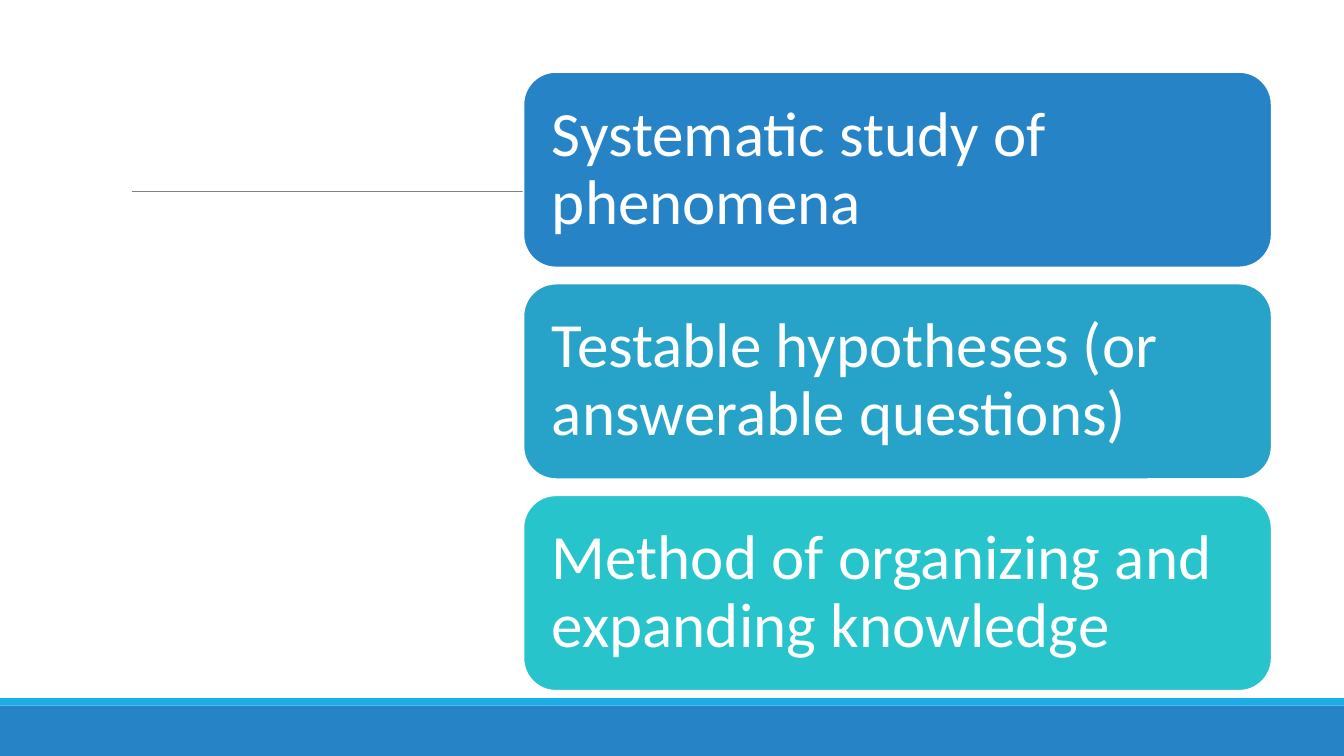
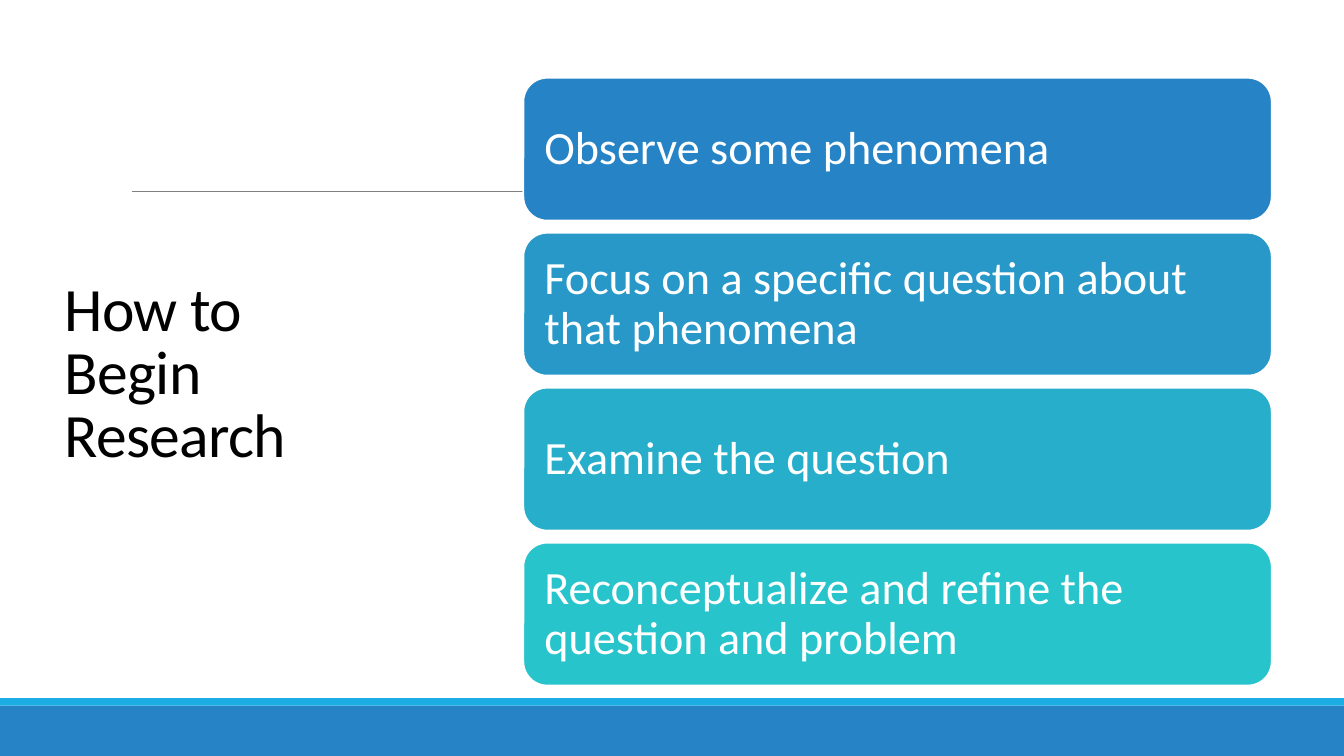
from pptx import Presentation
from pptx.dml.color import RGBColor
from pptx.enum.shapes import MSO_CONNECTOR as Link, MSO_SHAPE as Shape
from pptx.enum.text import MSO_ANCHOR as Anchor, MSO_AUTO_SIZE as Fit, PP_ALIGN as Align
from pptx.oxml.ns import qn
from pptx.util import Pt
from lxml import etree

BLUE = RGBColor(0x26, 0x83, 0xC6)
OCEAN = RGBColor(0x27, 0x98, 0xC8)
AZURE = RGBColor(0x27, 0xA3, 0xC9)
LAGOON = RGBColor(0x27, 0xAE, 0xCA)
TEAL = RGBColor(0x28, 0xC4, 0xCC)
SKY = RGBColor(0x1C, 0xAD, 0xE4)
GRAY = RGBColor(0x80, 0x80, 0x80)
WHITE = RGBColor(0xFF, 0xFF, 0xFF)
BLACK = RGBColor(0, 0, 0)
WIDE, HIGH = 960, 540

# Shared bands: top, height, colour
BANDS = [(504, 36, BLUE), (498.7, 5.3, SKY)]

# Each slide: title, first card top, card height, step, inset, text size, cards
SLIDES = [
    {"title": None, "top": 51.4, "high": 139.7, "step": 151.2, "pad": 13.6, "size": 45,
     "cards": [("Systematic study of phenomena", BLUE),
               ("Testable hypotheses (or answerable questions)", AZURE),
               ("Method of organizing and expanding knowledge", TEAL)]},
    {"title": "How to Begin Research",
     "top": 55.6, "high": 102, "step": 110.7, "pad": 10, "size": 33,
     "cards": [("Observe some phenomena", BLUE),
               ("Focus on a specific question about that phenomena", OCEAN),
               ("Examine the question", LAGOON),
               ("Reconceptualize and refine the question and problem", TEAL)]},
]


def add_box(slide, kind, left, top, wide, high, fill):
    box = slide.shapes.add_shape(kind, Pt(left), Pt(top), Pt(wide), Pt(high))
    box.shadow.inherit = False
    box.fill.solid()
    box.fill.fore_color.rgb = fill
    box.line.fill.background()
    return box


def set_text(frame, text, size, color, space, pad):
    look = {"word_wrap": True, "auto_size": Fit.NONE, "vertical_anchor": Anchor.MIDDLE}
    for side, gap in zip(("left", "top", "right", "bottom"), pad):
        look["margin_" + side] = Pt(gap)
    for name, value in look.items():
        setattr(frame, name, value)
    frame.text = text
    para = frame.paragraphs[0]
    para.alignment = Align.LEFT
    para.line_spacing = space
    font = para.runs[0].font
    for name, value in {"name": "Calibri", "size": Pt(size), "bold": False}.items():
        setattr(font, name, value)
    font.color.rgb = color
    return para.runs[0]


deck = Presentation()
deck.slide_width, deck.slide_height = Pt(WIDE), Pt(HIGH)

for page in SLIDES:
    layout = deck.slide_layouts[5 if page["title"] else 6]
    slide = deck.slides.add_slide(layout)

    # Bottom bands and rule
    for top, high, fill in BANDS:
        add_box(slide, Shape.RECTANGLE, 0, top, WIDE, high, fill)
    rule = slide.shapes.add_connector(Link.STRAIGHT, Pt(94), Pt(136.7), Pt(879), Pt(136.7))
    rule.line.color.rgb = GRAY
    rule.line.width = Pt(0.5)
    etree.SubElement(rule._element.spPr, qn("a:effectLst"))

    # Title
    if page["title"]:
        title = slide.shapes.title
        spot = {"left": 39, "top": 41, "width": 242.6, "height": 454.3}
        for name, value in spot.items():
            setattr(title, name, Pt(value))
        run = set_text(title.text_frame, page["title"], 44, BLACK, 0.85, (7.2, 3.6, 7.2, 3.6))
        run.font._element.set("spc", "-50")

    # Stack of cards
    for row, (text, fill) in enumerate(page["cards"]):
        top = page["top"] + row * page["step"]
        card = add_box(slide, Shape.ROUNDED_RECTANGLE, 373.9, top, 534.5, page["high"], fill)
        card.line.color.rgb = WHITE
        card.line.width = Pt(1.25)
        set_text(card.text_frame, text, page["size"], WHITE, 0.9, [page["pad"]] * 4)

deck.save("out.pptx")
